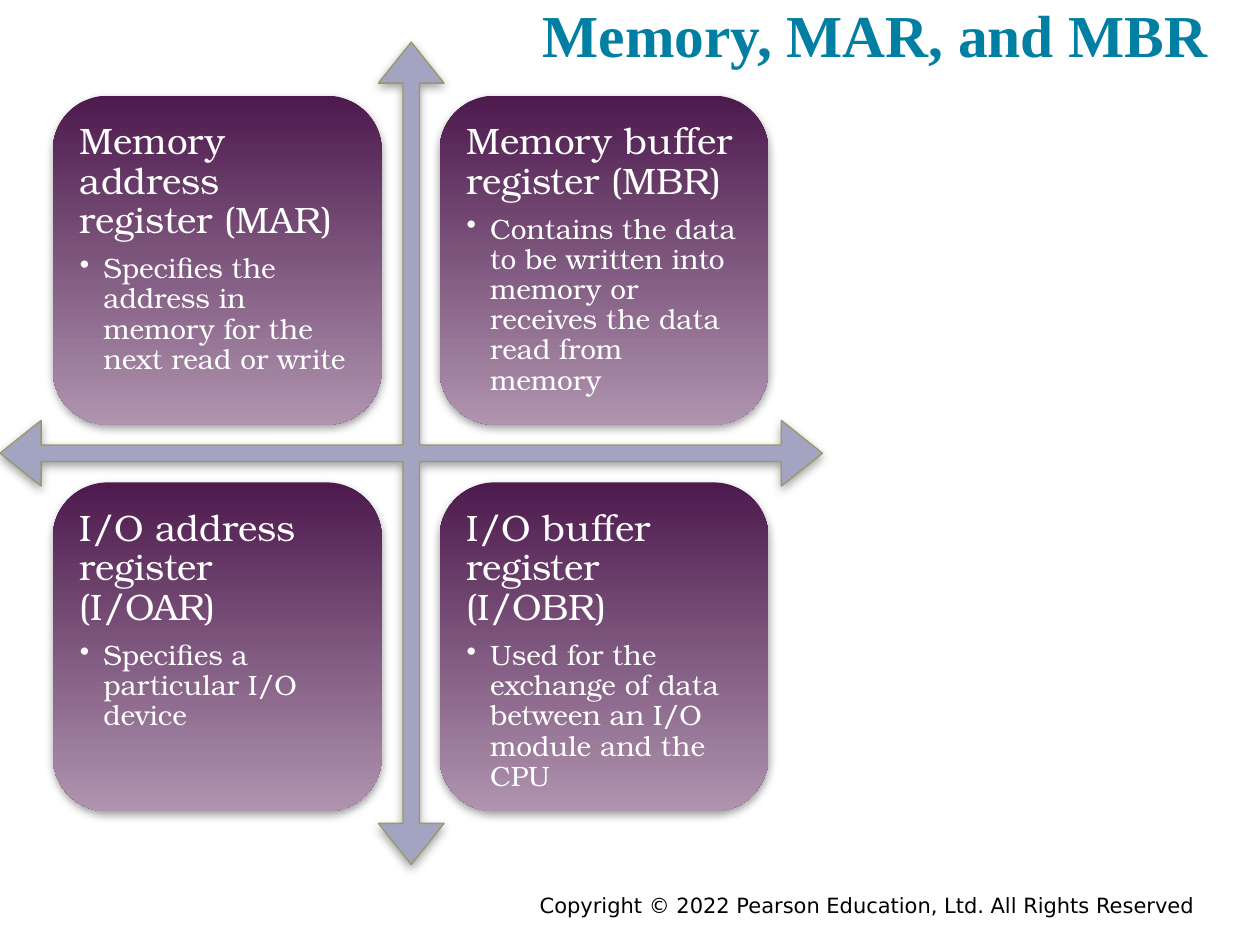
from lxml import etree
from pptx import Presentation
from pptx.dml.color import RGBColor
from pptx.enum.shapes import MSO_SHAPE
from pptx.enum.text import MSO_ANCHOR, PP_ALIGN
from pptx.oxml import parse_xml
from pptx.oxml.ns import qn
from pptx.util import Pt

ROUNDED = MSO_SHAPE.ROUNDED_RECTANGLE
QUAD_ARROW = MSO_SHAPE.QUAD_ARROW
TOP, BOTTOM = MSO_ANCHOR.TOP, MSO_ANCHOR.BOTTOM
LEFT, RIGHT = PP_ALIGN.LEFT, PP_ALIGN.RIGHT

CARD_FONT = "TeX Gyre Bonum"
CARD_LEFT, CARD_TOP, CARD_SIZE, CARD_PITCH = 30.2, 54.7, 188, 221
SHADOW = (
    '<a:outerShdw xmlns:a="http://schemas.openxmlformats.org/drawingml/2006/main"'
    ' blurRad="63500" dist="25400" dir="5400000" rotWithShape="0">'
    '<a:srgbClr val="808080"><a:alpha val="75000"/></a:srgbClr></a:outerShdw>'
)
REGISTERS = [
    ("Memory address register (MAR)",
     "Specifies the address in memory for the next read or write"),
    ("Memory buffer register (MBR)",
     "Contains the data to be written into memory or receives the data read from memory"),
    ("I/O address register (I/OAR)",
     "Specifies a particular I/O device"),
    ("I/O buffer register (I/OBR)",
     "Used for the exchange of data between an I/O module and the CPU"),
]


def color(code):
    return RGBColor.from_string(code)


def add_span(para, text, font, size, code, bold=False):
    span = para.add_run()
    span.text = text
    span.font.name = font
    span.font.size = Pt(size)
    span.font.bold = bold
    span.font.color.rgb = color(code)


def set_frame(frame, anchor, side, top):
    frame.word_wrap = True
    frame.vertical_anchor = anchor
    frame.margin_left = frame.margin_right = Pt(side)
    frame.margin_top = frame.margin_bottom = Pt(top)


def add_label(page, left, top, width, height, inset, anchor, align):
    box = page.shapes.add_textbox(Pt(left), Pt(top), Pt(width), Pt(height))
    set_frame(box.text_frame, anchor, 7.2, inset)
    para = box.text_frame.paragraphs[0]
    para.alignment = align
    return para


def add_figure(page, kind, left, top, size):
    figure = page.shapes.add_shape(kind, Pt(left), Pt(top), Pt(size), Pt(size))
    figure.shadow.inherit = False
    figure._element.spPr.find(qn("a:effectLst")).append(parse_xml(SHADOW))
    return figure


def add_axes(page):
    axes = add_figure(page, QUAD_ARROW, 0, 24, 470)
    for index, value in enumerate((0.02, 0.04, 0.05)):
        axes.adjustments[index] = value
    axes.fill.solid()
    axes.fill.fore_color.rgb = color("A3A3C2")
    axes.line.color.rgb = color("999966")
    axes.line.width = Pt(0.75)


def add_bullet(para):
    props = para._p.get_or_add_pPr()
    props.set("marL", str(Pt(13.5)))
    props.set("indent", str(-Pt(13.5)))
    etree.SubElement(props, qn("a:buChar")).set("char", "•")


def add_card(page, left, top, heading, detail):
    card = add_figure(page, ROUNDED, left, top, CARD_SIZE)
    card.fill.gradient()
    card.fill.gradient_angle = 270
    for stop, code in zip(card.fill.gradient_stops, ("4D1A4D", "AF94AF")):
        stop.color.rgb = color(code)
    card.line.fill.background()

    frame = card.text_frame
    set_frame(frame, TOP, 6.3, 6.3)
    title, item = frame.paragraphs[0], frame.add_paragraph()
    item.level = 1
    add_bullet(item)
    for para, text, size, after in ((title, heading, 21, 7.35), (item, detail, 16, 2.4)):
        para.alignment = LEFT
        para.line_spacing = 0.9
        para.space_after = Pt(after)
        add_span(para, text, CARD_FONT, size, "FFFFFF")


def main():
    deck = Presentation()
    deck.slide_width, deck.slide_height = Pt(720), Pt(540)
    page = deck.slides.add_slide(deck.slide_layouts[6])

    footer = add_label(page, 126, 506.2, 563.8, 15.8, 3.6, TOP, RIGHT)
    add_span(footer, "Copyright © 2022 Pearson Education, Ltd. All Rights Reserved",
             "DejaVu Sans", 12, "000000")

    add_axes(page)
    for index, (heading, detail) in enumerate(REGISTERS):
        row, column = divmod(index, 2)
        add_card(page, CARD_LEFT + column * CARD_PITCH, CARD_TOP + row * CARD_PITCH,
                 heading, detail)

    title = add_label(page, 303.1, 0.7, 396.8, 46, 7.2, BOTTOM, LEFT)
    add_span(title, "Memory, MAR, and MBR", "Times New Roman", 34, "007FA3", bold=True)

    deck.save("out.pptx")


if __name__ == "__main__":
    main()
